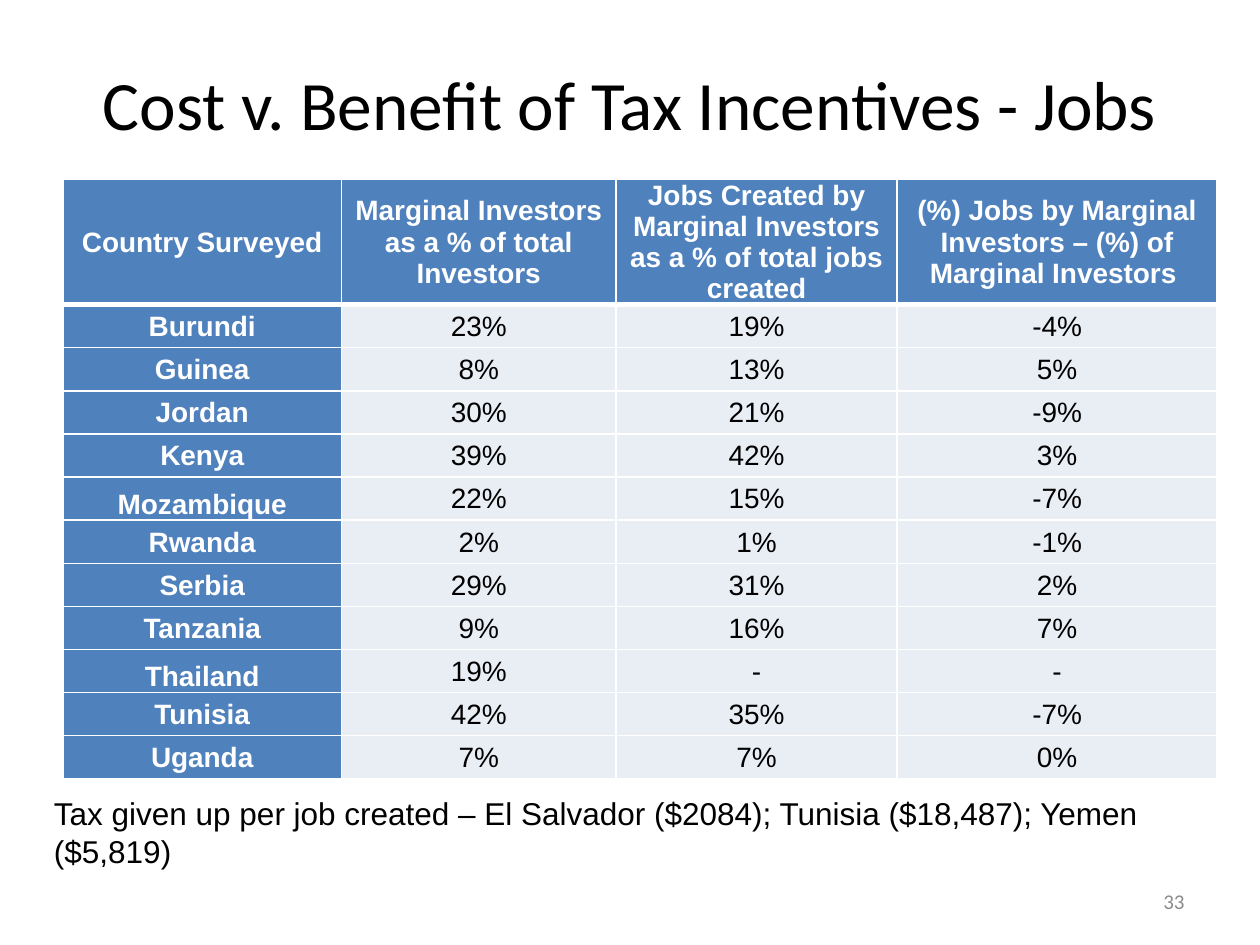
from lxml import etree
from pptx import Presentation
from pptx.dml.color import RGBColor
from pptx.enum.text import MSO_ANCHOR, PP_ALIGN
from pptx.oxml.ns import qn
from pptx.util import Inches, Pt

LEFT, CENTER, RIGHT = PP_ALIGN.LEFT, PP_ALIGN.CENTER, PP_ALIGN.RIGHT
TOP, MIDDLE, BOTTOM = MSO_ANCHOR.TOP, MSO_ANCHOR.MIDDLE, MSO_ANCHOR.BOTTOM
COLORS = {"blue": "4F81BD", "pale": "E9EDF4", "white": "FFFFFF",
          "black": "000000", "gray": "8C8C8C"}
UNIT = 0.25
HEADERS = [
    "Country Surveyed",
    "Marginal Investors as a % of total Investors",
    "Jobs Created by Marginal Investors as a % of total jobs created",
    "(%) Jobs by Marginal Investors – (%) of Marginal Investors ",
]
COUNTRIES = [
    ("Burundi", "23%", "19%", "-4%"),
    ("Guinea", "8%", "13%", "5%"),
    ("Jordan", "30%", "21%", "-9%"),
    ("Kenya", "39%", "42%", "3%"),
    ("Mozambique", "22%", "15%", "-7%"),
    ("Rwanda", "2%", "1%", "-1%"),
    ("Serbia", "29%", "31%", "2%"),
    ("Tanzania", "9%", "16%", "7%"),
    ("Thailand", "19%", "-", "-"),
    ("Tunisia", "42%", "35%", "-7%"),
    ("Uganda", "7%", "7%", "0%"),
]
BOTTOM_ALIGNED = {"Mozambique", "Thailand"}


def grid(*units):
    return [Inches(u * UNIT) for u in units]


def write(tf, text, size=16, font="Arial", color="black", bold=False, align=LEFT):
    p = tf.paragraphs[0]
    p.alignment = align
    r = p.add_run()
    r.text = text
    r.font.size = Pt(size)
    r.font.name = font
    r.font.bold = bold
    r.font.color.rgb = RGBColor.from_string(COLORS[color])


def border(cell, **widths):
    tcPr = cell._tc.get_or_add_tcPr()
    for i, (side, width) in enumerate(widths.items()):
        ln = etree.Element(qn("a:ln" + side), w=str(Pt(width)))
        fill = etree.SubElement(ln, qn("a:solidFill"))
        etree.SubElement(fill, qn("a:srgbClr"), val=COLORS["white"])
        tcPr.insert(i, ln)


class Deck:
    def __init__(self, width, height):
        self.prs = Presentation()
        self.prs.slide_width, self.prs.slide_height = Inches(width), Inches(height)
        self.s = self.prs.slides.add_slide(self.prs.slide_layouts[5])

    def title(self, text, box, **style):
        sp = self.s.shapes.title
        sp.left, sp.top, sp.width, sp.height = grid(*box)
        sp.text_frame.vertical_anchor = MIDDLE
        write(sp.text_frame, text, align=CENTER, **style)

    def text(self, text, box, anchor=TOP, **style):
        tf = self.s.shapes.add_textbox(*grid(*box)).text_frame
        tf.word_wrap = True
        tf.vertical_anchor = anchor
        write(tf, text, **style)

    def table(self, rows, left, top, widths, heights):
        frame = self.s.shapes.add_table(
            len(rows), len(widths), *grid(left, top, sum(widths), sum(heights)))
        table = frame.table
        table.first_col = True
        table.horz_banding = False
        for column, width in zip(table.columns, grid(*widths)):
            column.width = width
        for row, height in zip(table.rows, grid(*heights)):
            row.height = height
        for i, row in enumerate(rows):
            for j, text in enumerate(row):
                self.cell(table.cell(i, j), text, i == 0, j == 0)

    def cell(self, cell, text, header, first):
        strong = header or first
        cell.margin_left = cell.margin_top = cell.margin_right = Inches(0.01)
        cell.margin_bottom = 0
        cell.vertical_anchor = BOTTOM if text in BOTTOM_ALIGNED else MIDDLE
        cell.fill.solid()
        cell.fill.fore_color.rgb = RGBColor.from_string(
            COLORS["blue" if strong else "pale"])
        write(cell.text_frame, text, bold=strong, align=CENTER,
              color="white" if strong else "black")
        widths = {"L": 1, "R": 1, "T": 1, "B": 1}
        if header:
            widths["B"] = 3
        elif text in COUNTRIES[0]:
            widths["T"] = 3 if cell._tc.row_idx == 1 else 1
        border(cell, **widths)


deck = Deck(10, 7.5)
deck.title("Cost v. Benefit of Tax Incentives - Jobs", (2, 1.2, 36, 4.12),
           size=39.6, font="Calibri")
deck.table([HEADERS, *COUNTRIES], 2, 5.68, [8.84, 8.72, 8.92, 10.16],
           [3.64] + [1.37] * len(COUNTRIES))
deck.text("33", (28.68, 27.8, 9.32, 1.6), anchor=MIDDLE,
          size=12, font="Calibri", color="gray", align=RIGHT)
deck.text("Tax given up per job created – El Salvador ($2084); Tunisia ($18,487); "
          "Yemen ($5,819)", (1.32, 25, 37, 2.84), size=18)
deck.prs.save("out.pptx")
